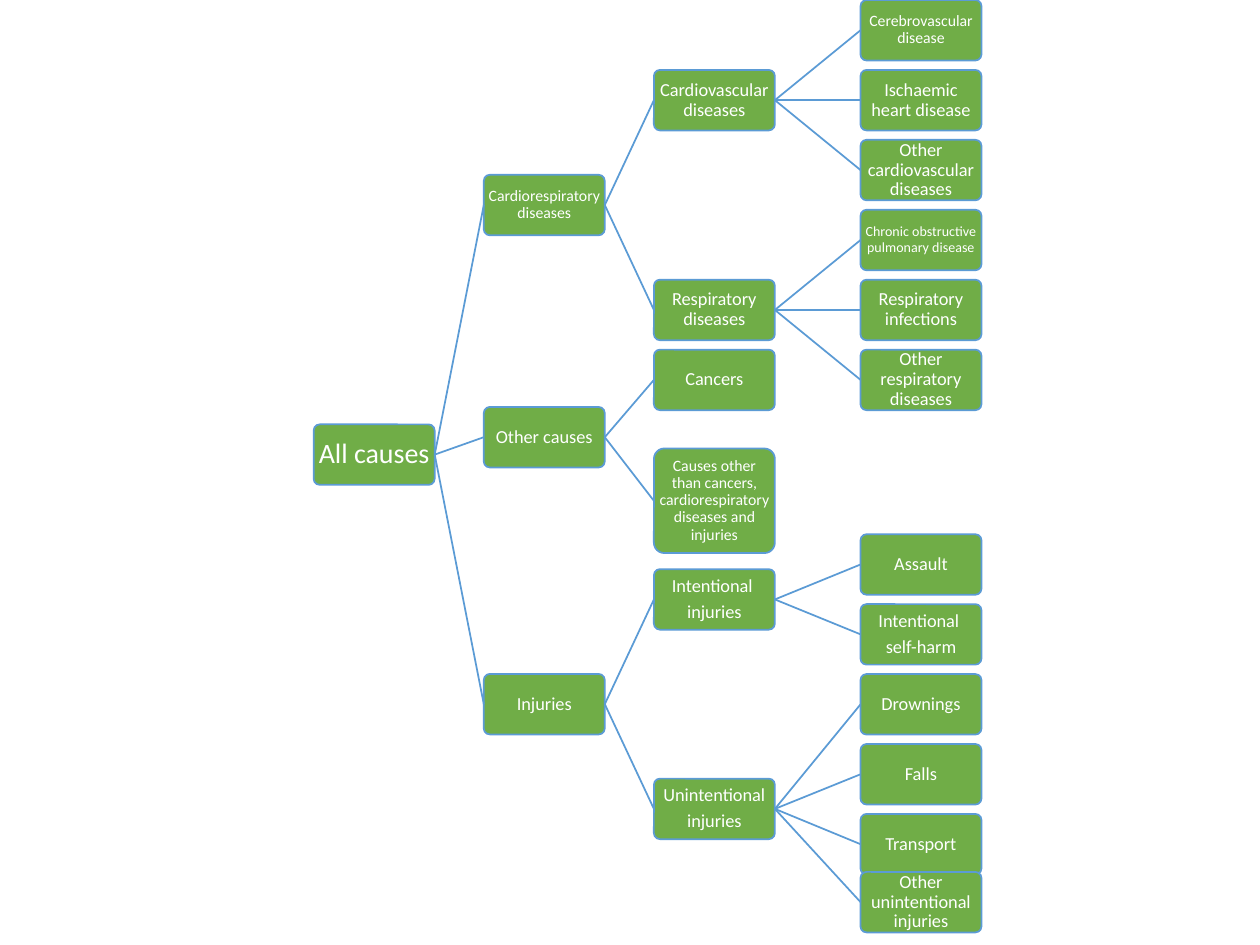
from dataclasses import dataclass

from lxml import etree
from pptx import Presentation
from pptx.dml.color import RGBColor
from pptx.enum.shapes import MSO_CONNECTOR, MSO_SHAPE
from pptx.enum.text import MSO_ANCHOR, PP_ALIGN
from pptx.oxml.ns import qn
from pptx.util import Inches, Pt

ROUNDED = MSO_SHAPE.ROUNDED_RECTANGLE
STRAIGHT = MSO_CONNECTOR.STRAIGHT
MIDDLE = MSO_ANCHOR.MIDDLE
CENTER = PP_ALIGN.CENTER

GREEN = RGBColor(0x70, 0xAD, 0x47)
BLUE = RGBColor(0x5B, 0x9B, 0xD5)
WHITE = RGBColor(0xFF, 0xFF, 0xFF)

COLUMNS = (2.49, 3.84, 5.19, 6.83)
BOX_W, BOX_H = 0.96, 0.48
ROW = 0.555
INJURY_TOP = 4.24
LEFT_SIDE, RIGHT_SIDE = 1, 3


@dataclass
class Cause:
    """A cause of death; without a top it is centred on its children."""
    text: str
    top: float = None
    size: float = 10.5
    height: float = BOX_H
    children: tuple = ()

    def get_top(self):
        if self.top is not None:
            return self.top
        return (self.children[0].get_top() + self.children[-1].get_top()) / 2


class TreeSlide:
    """Holds the style and the current slide of a cause tree."""

    def __init__(self, prs):
        self.font = "Calibri"
        self.s = prs.slides.add_slide(prs.slide_layouts[6])

    def box(self, cause, left):
        sp = self.s.shapes.add_shape(
            ROUNDED, Inches(left), Inches(cause.get_top()),
            Inches(BOX_W), Inches(cause.height))
        sp.adjustments[0] = 0.1
        sp.shadow.inherit = False
        sp.fill.solid()
        sp.fill.fore_color.rgb = GREEN
        sp.line.color.rgb = BLUE
        sp.line.width = Pt(1)
        tf = sp.text_frame
        tf.word_wrap = True
        tf.vertical_anchor = MIDDLE
        tf.margin_left = tf.margin_right = Inches(0.01)
        tf.margin_top = tf.margin_bottom = Inches(0.01)
        for i, line in enumerate(cause.text.split("\n")):
            p = tf.add_paragraph() if i else tf.paragraphs[0]
            p.alignment = CENTER
            p.line_spacing = 0.9
            p.space_after = Pt(0.35 * cause.size)
            r = p.add_run()
            r.text = line
            r.font.name = self.font
            r.font.size = Pt(cause.size)
            r.font.color.rgb = WHITE
        return sp

    def link(self, parent, child):
        cx = self.s.shapes.add_connector(STRAIGHT, 0, 0, 0, 0)
        cx.begin_connect(parent, RIGHT_SIDE)
        cx.end_connect(child, LEFT_SIDE)
        cx.line.color.rgb = BLUE
        cx.line.width = Pt(1)
        etree.SubElement(cx._element.spPr, qn("a:effectLst"))

    def tree(self, cause, depth=0):
        sp = self.box(cause, COLUMNS[depth])
        for child in cause.children:
            self.link(sp, self.tree(child, depth + 1))
        return sp


ALL_CAUSES = Cause("All causes", size=16, children=(
    Cause("Cardiorespiratory diseases", size=9, children=(
        Cause("Cardiovascular diseases", children=(
            Cause("Cerebrovascular disease", 0, 9),
            Cause("Ischaemic heart disease", ROW),
            Cause("Other cardiovascular diseases", 2 * ROW))),
        Cause("Respiratory diseases", children=(
            Cause("Chronic obstructive pulmonary disease", 3 * ROW, 8),
            Cause("Respiratory infections", 4 * ROW),
            Cause("Other respiratory diseases", 5 * ROW))))),
    Cause("Other causes", 3.23, children=(
        Cause("Cancers", 5 * ROW),
        Cause("Causes other than cancers, cardiorespiratory diseases "
              "and injuries", 3.56, 9, 0.83))),
    Cause("Injuries", children=(
        Cause("Intentional \ninjuries", children=(
            Cause("Assault", INJURY_TOP),
            Cause("Intentional \nself-harm", INJURY_TOP + ROW))),
        Cause("Unintentional\ninjuries", 6.18, children=(
            Cause("Drownings", INJURY_TOP + 2 * ROW),
            Cause("Falls", INJURY_TOP + 3 * ROW),
            Cause("Transport", INJURY_TOP + 4 * ROW),
            Cause("Other unintentional injuries", 6.92)))))))


def main():
    prs = Presentation()
    prs.slide_width, prs.slide_height = Inches(10), Inches(7.5)
    TreeSlide(prs).tree(ALL_CAUSES)
    prs.save("out.pptx")


if __name__ == "__main__":
    main()
